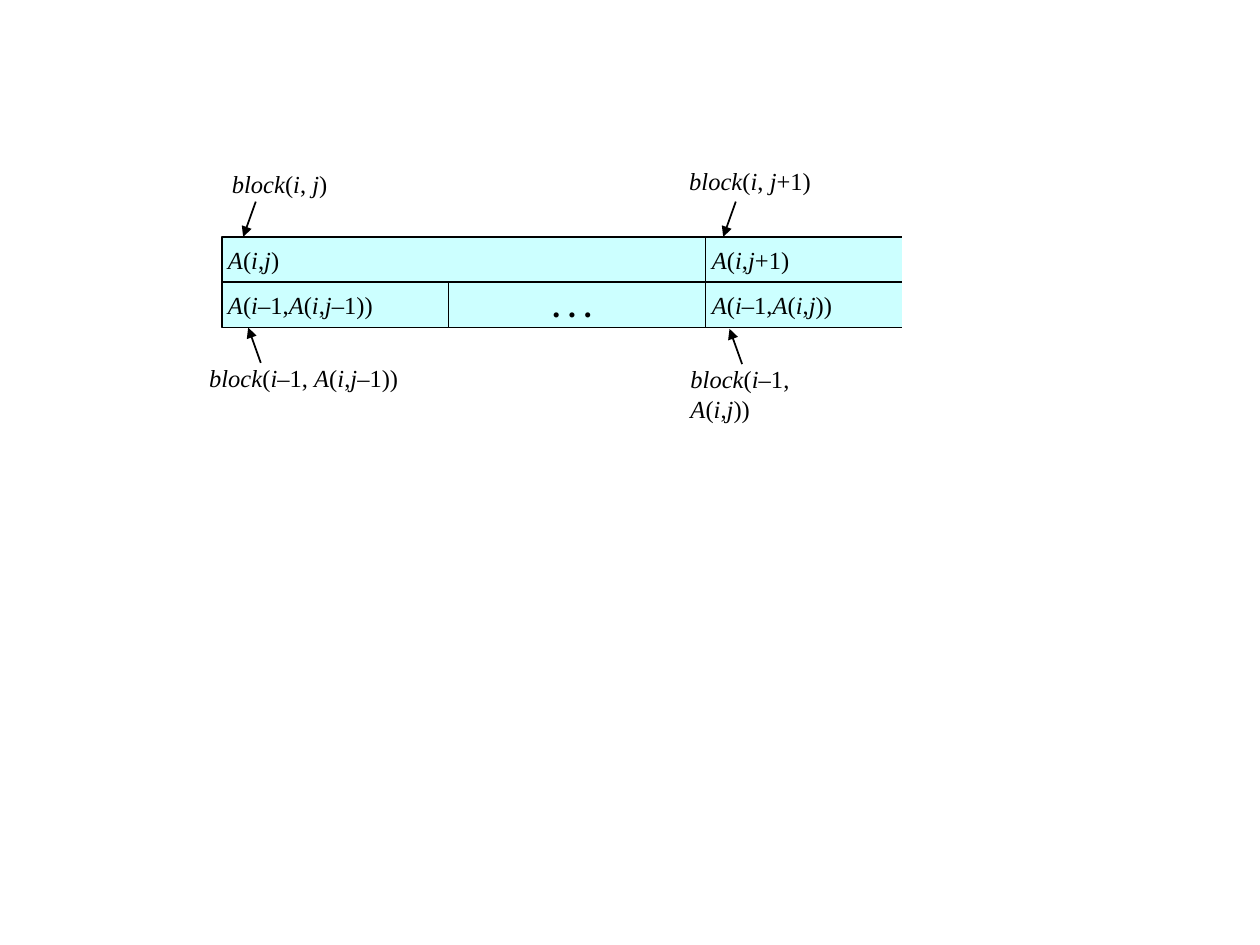
from dataclasses import dataclass
from itertools import groupby

from lxml import etree
from pptx import Presentation
from pptx.dml.color import RGBColor
from pptx.enum.shapes import MSO_CONNECTOR, MSO_SHAPE
from pptx.enum.text import MSO_ANCHOR, PP_ALIGN
from pptx.oxml.ns import qn
from pptx.util import Inches, Pt

RECTANGLE = MSO_SHAPE.RECTANGLE
STRAIGHT = MSO_CONNECTOR.STRAIGHT
MIDDLE, TOP = MSO_ANCHOR.MIDDLE, MSO_ANCHOR.TOP
LEFT, CENTER = PP_ALIGN.LEFT, PP_ALIGN.CENTER

FONT = "Times New Roman"
BLACK, WHITE, CYAN = "000000", "FFFFFF", "CCFFFF"

ROW_HEIGHT = 0.36
UPPER_ROW = 1.88
LOWER_ROW = UPPER_ROW + ROW_HEIGHT
FIRST_BLOCK, ELLIPSIS_BLOCK, NEXT_BLOCK = 1.76, 3.56, 5.6
RIGHT_END = 7.52
ARROW_SLANT, ARROW_RISE = 0.1, 0.28


@dataclass
class Cell:
    text: str
    left: float
    right: float
    top: float
    left_inset: float = 0.05
    size: int = 14
    bold: bool = False
    align: PP_ALIGN = LEFT


@dataclass
class Label:
    text: str
    left: float
    top: float
    width: float
    height: float
    arrow_x: float
    arrow_start: float
    arrow_direction: int  # 1 points down, -1 points up
    wrap: bool = True


OPEN_CELLS = [
    Cell("A(i,j+1)", NEXT_BLOCK, RIGHT_END, UPPER_ROW),
    Cell("A(i–1,A(i,j))", NEXT_BLOCK, RIGHT_END, LOWER_ROW),
]
CLOSED_CELLS = [
    Cell("A(i–1,A(i,j–1))", FIRST_BLOCK, ELLIPSIS_BLOCK, LOWER_ROW),
    Cell(". . .", ELLIPSIS_BLOCK, NEXT_BLOCK, LOWER_ROW, 0.02, 18, True, CENTER),
    Cell("A(i,j)", FIRST_BLOCK, NEXT_BLOCK, UPPER_ROW),
]
LABELS = [
    Label("block(i–1, A(i,j–1))", 1.66, 2.88, 1.66, 0.32, 2.07, 2.88, -1),
    Label("block(i, j)", 1.84, 1.34, 1.17, 0.34, 2.03, 1.6, 1),
    Label("block(i, j+1)", 5.47, 1.32, 1.32, 0.32, 5.84, 1.6, 1),
    Label("block(i–1, A(i,j))", 5.48, 2.89, 1.19, 0.31, 5.89, 2.89, -1, False),
]


def color(value: str) -> RGBColor:
    return RGBColor.from_string(value)


def write_formula(frame, text: str, insets: tuple, anchor, wrap: bool,
                  size: int = 14, bold: bool = False, align=LEFT) -> None:
    """Write one line with its letters in italics and its symbols upright."""
    frame.word_wrap = wrap
    frame.vertical_anchor = anchor
    (frame.margin_left, frame.margin_top,
     frame.margin_right, frame.margin_bottom) = map(Inches, insets)
    paragraph = frame.paragraphs[0]
    paragraph.alignment = align
    paragraph.font.name = FONT
    paragraph.font.size = Pt(size)
    paragraph.font.bold = bold
    paragraph.font.color.rgb = color(BLACK)
    for is_name, characters in groupby(text, str.isalpha):
        run = paragraph.add_run()
        run.text = "".join(characters)
        run.font.italic = is_name


def add_rectangle(slide, left: float, top: float, width: float, height: float,
                  fill: str):
    rectangle = slide.shapes.add_shape(
        RECTANGLE, Inches(left), Inches(top), Inches(width), Inches(height))
    rectangle.shadow.inherit = False
    rectangle.fill.solid()
    rectangle.fill.fore_color.rgb = color(fill)
    return rectangle


def add_cell(slide, cell: Cell) -> None:
    box = add_rectangle(slide, cell.left, cell.top, cell.right - cell.left,
                        ROW_HEIGHT, CYAN)
    box.line.color.rgb = color(BLACK)
    box.line.width = Pt(1)
    write_formula(box.text_frame, cell.text, (cell.left_inset, 0.05, 0.1, 0.05),
                  MIDDLE, False, cell.size, cell.bold, cell.align)


def add_label(slide, label: Label) -> None:
    """Add a block name and the arrow from it to its cell."""
    box = slide.shapes.add_textbox(Inches(label.left), Inches(label.top),
                                   Inches(label.width), Inches(label.height))
    write_formula(box.text_frame, label.text, (0, 0, 0, 0), TOP, label.wrap)

    arrow = slide.shapes.add_connector(
        STRAIGHT, Inches(label.arrow_x), Inches(label.arrow_start),
        Inches(label.arrow_x - ARROW_SLANT),
        Inches(label.arrow_start + label.arrow_direction * ARROW_RISE))
    arrow.line.color.rgb = color(BLACK)
    arrow.line.width = Pt(1)
    properties = arrow._element.spPr
    etree.SubElement(properties.find(qn("a:ln")), qn("a:tailEnd"), type="triangle")
    etree.SubElement(properties, qn("a:effectLst"))


def main() -> None:
    presentation = Presentation()
    presentation.slide_width = Inches(10)
    presentation.slide_height = Inches(7.5)
    slide = presentation.slides.add_slide(presentation.slide_layouts[6])

    for cell in OPEN_CELLS:
        add_cell(slide, cell)
    # The cover hides the right edges, so the last block runs on.
    cover = add_rectangle(slide, 7.16, 1.76, 0.48, 0.96, WHITE)
    cover.line.fill.background()
    for cell in CLOSED_CELLS:
        add_cell(slide, cell)
    for label in LABELS:
        add_label(slide, label)

    presentation.save("out.pptx")


if __name__ == "__main__":
    main()
